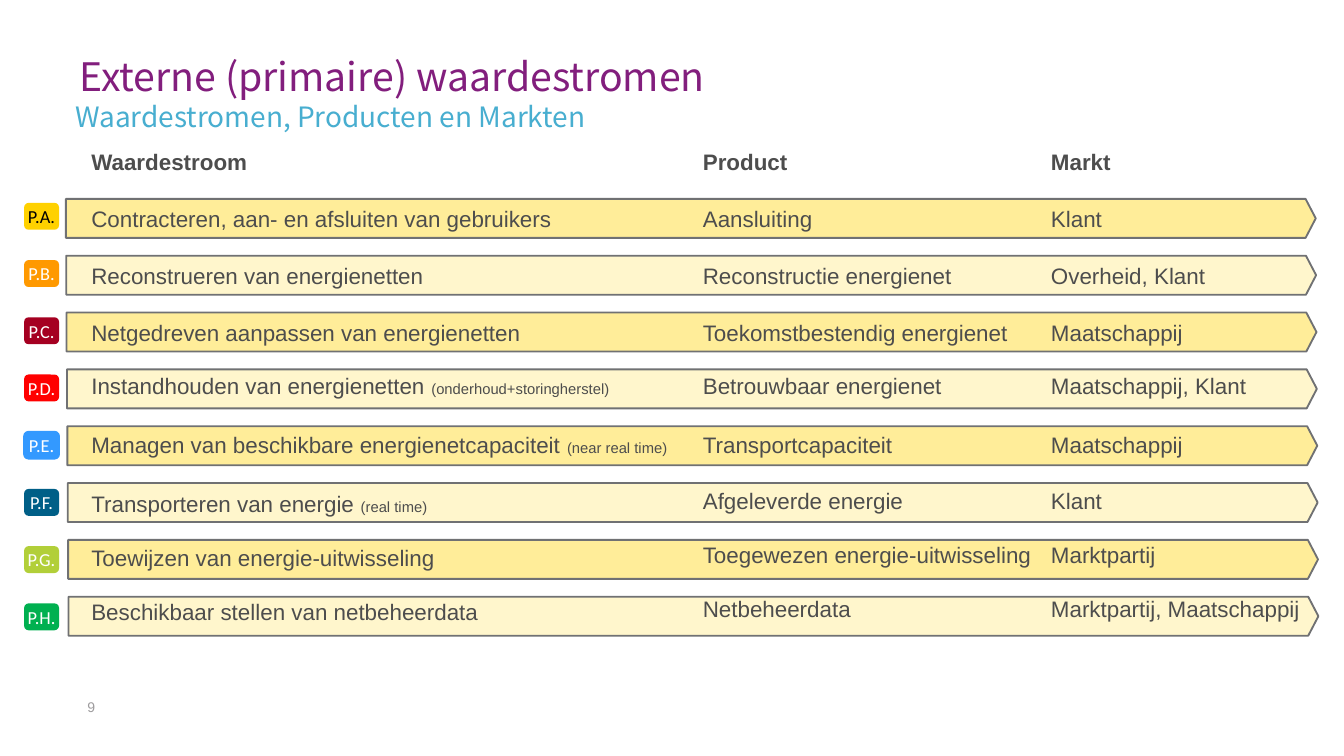
from pptx import Presentation
from pptx.dml.color import RGBColor
from pptx.enum.shapes import MSO_SHAPE
from pptx.enum.text import MSO_ANCHOR, PP_ALIGN
from pptx.util import Inches, Pt

PURPLE = RGBColor(0x82, 0x1E, 0x7D)
CYAN = RGBColor(0x48, 0xAE, 0xD0)
TEXT = RGBColor(0x4D, 0x4D, 0x4D)
PAGE_GRAY = RGBColor(0x9E, 0x9C, 0x9E)
OUTLINE = RGBColor(0x70, 0x71, 0x73)
BLACK = RGBColor(0, 0, 0)
WHITE = RGBColor(0xFF, 0xFF, 0xFF)
BAR_FILLS = [RGBColor(0xFF, 0xED, 0x99), RGBColor(0xFF, 0xF6, 0xCC)]
BADGE_BLUE = RGBColor(0x33, 0x99, 0xFF)
BADGES = [
    ("P.A.", RGBColor(0xFF, 0xD1, 0x00)),
    ("P.B.", RGBColor(0xFF, 0x99, 0x00)),
    ("P.C.", RGBColor(0xA5, 0x00, 0x21)),
    ("P.D.", RGBColor(0xFF, 0x00, 0x00)),
    ("P.E.", BADGE_BLUE),
    ("P.F.", RGBColor(0x00, 0x5F, 0x87)),
    ("P.G.", RGBColor(0xB2, 0xCF, 0x39)),
    ("P.H.", RGBColor(0x00, 0xB0, 0x50)),
]

SLIDE_WIDTH = 10
SLIDE_HEIGHT = SLIDE_WIDTH * 9 / 16
TITLE_FONT = "Noto Sans CJK TC"
BAR_TOP, BADGE_TOP = 1.48, 1.51
BAR_PITCH = 2.96 / 7
BADGE_PITCH = 2.98 / 7
BAR_SHIFT = 0.02 / 7
COLUMN_TOP, COLUMN_HEIGHT = 1, 3.73

SPACING = [(4.5, 4.5)] * 3 + [(4.5, 2)] * 2 + [(8, 4.5), (4, 4.5)] + [(3, 4.5)] * 2
STREAM_SPACING = SPACING[:5] + [(8, 2), (8, 4.5)] + SPACING[7:]

STREAMS = [
    ("Waardestroom", ""),
    ("Contracteren, aan- en afsluiten van gebruikers", ""),
    ("Reconstrueren van energienetten", ""),
    ("Netgedreven aanpassen van energienetten", ""),
    ("Instandhouden van energienetten ", "(onderhoud+storingherstel)"),
    ("Managen van beschikbare energienetcapaciteit ", "(near real time)"),
    ("Transporteren van energie ", "(real time)"),
    ("Toewijzen van energie-uitwisseling", ""),
    ("Beschikbaar stellen van netbeheerdata", ""),
]
PRODUCTS = [(name, "") for name in (
    "Product", "Aansluiting", "Reconstructie energienet",
    "Toekomstbestendig energienet", "Betrouwbaar energienet",
    "Transportcapaciteit", "Afgeleverde energie",
    "Toegewezen energie-uitwisseling", "Netbeheerdata")]
MARKETS = [(name, "") for name in (
    "Markt", "Klant", "Overheid, Klant", "Maatschappij", "Maatschappij, Klant",
    "Maatschappij", "Klant", "Marktpartij", "Marktpartij, Maatschappij")]


def style(p, font, size, color, bold=False):
    p.font.name = font
    p.font.size = Pt(size)
    p.font.color.rgb = color
    p.font.bold = bold


def add_frame(s, left, top, width, height):
    tf = s.shapes.add_textbox(*map(Inches, (left, top, width, height))).text_frame
    tf.word_wrap = True
    tf.margin_left = tf.margin_right = tf.margin_top = tf.margin_bottom = 0
    return tf


def add_label(s, box, text, font, size, color, line_spacing=1.0):
    p = add_frame(s, *box).paragraphs[0]
    p.text = text
    p.line_spacing = line_spacing
    style(p, font, size, color)


def add_column(s, left, width, entries, spacing):
    tf = add_frame(s, left, COLUMN_TOP, width, COLUMN_HEIGHT)
    for i, ((text, note), (before, after)) in enumerate(zip(entries, spacing)):
        p = tf.paragraphs[0] if i == 0 else tf.add_paragraph()
        style(p, "Arial", 12, TEXT, bold=i == 0)
        p.line_spacing = 1.5
        p.space_before, p.space_after = Pt(before), Pt(after)
        p.add_run().text = text
        if note:
            r = p.add_run()
            r.text = note
            r.font.size = Pt(7.9)


def add_block(s, kind, box, fill, line=None):
    sp = s.shapes.add_shape(kind, *map(Inches, box))
    sp.shadow.inherit = False
    sp.fill.solid()
    sp.fill.fore_color.rgb = fill
    if line is None:
        sp.line.fill.background()
    else:
        sp.line.color.rgb = line
        sp.line.width = Pt(1)
    return sp


def add_bar(s, row):
    box = (0.49 + row * BAR_SHIFT, BAR_TOP + row * BAR_PITCH, 9.3, 0.29)
    sp = add_block(s, MSO_SHAPE.PENTAGON, box, BAR_FILLS[row % 2], OUTLINE)
    sp.adjustments[0] = 0.26


def add_badge(s, row, text, fill):
    box = (0.18, BADGE_TOP + row * BADGE_PITCH, 0.26, 0.2)
    line = fill if fill == BADGE_BLUE else None
    tf = add_block(s, MSO_SHAPE.ROUNDED_RECTANGLE, box, fill, line).text_frame
    tf.margin_left = tf.margin_right = 0
    tf.vertical_anchor = MSO_ANCHOR.MIDDLE
    p = tf.paragraphs[0]
    p.text = text
    p.alignment = PP_ALIGN.CENTER
    style(p, "Calibri", 9.8, BLACK if row == 0 else WHITE)


def main():
    prs = Presentation()
    prs.slide_width, prs.slide_height = Inches(SLIDE_WIDTH), Inches(SLIDE_HEIGHT)
    s = prs.slides.add_slide(prs.slide_layouts[6])
    add_label(s, (0.65, 5.2, 0.39, 0.24), "9", "Arial", 7.5, PAGE_GRAY)
    for row in range(len(BADGES)):
        add_bar(s, row)
    add_column(s, 5.23, 3.53, PRODUCTS, SPACING)
    add_column(s, 0.68, 7.37, STREAMS, STREAM_SPACING)
    add_column(s, 7.82, 1.97, MARKETS, SPACING)
    for row, (text, fill) in enumerate(BADGES):
        add_badge(s, row, text, fill)
    add_label(s, (0.59, 0.35, 7.28, 0.39), "Externe (primaire) waardestromen",
              TITLE_FONT, 21, PURPLE, Pt(28))
    add_label(s, (0.56, 0.69, 8.32, 0.24), "Waardestromen, Producten en Markten",
              TITLE_FONT, 15, CYAN, 1.2)
    prs.save("out.pptx")


if __name__ == "__main__":
    main()
